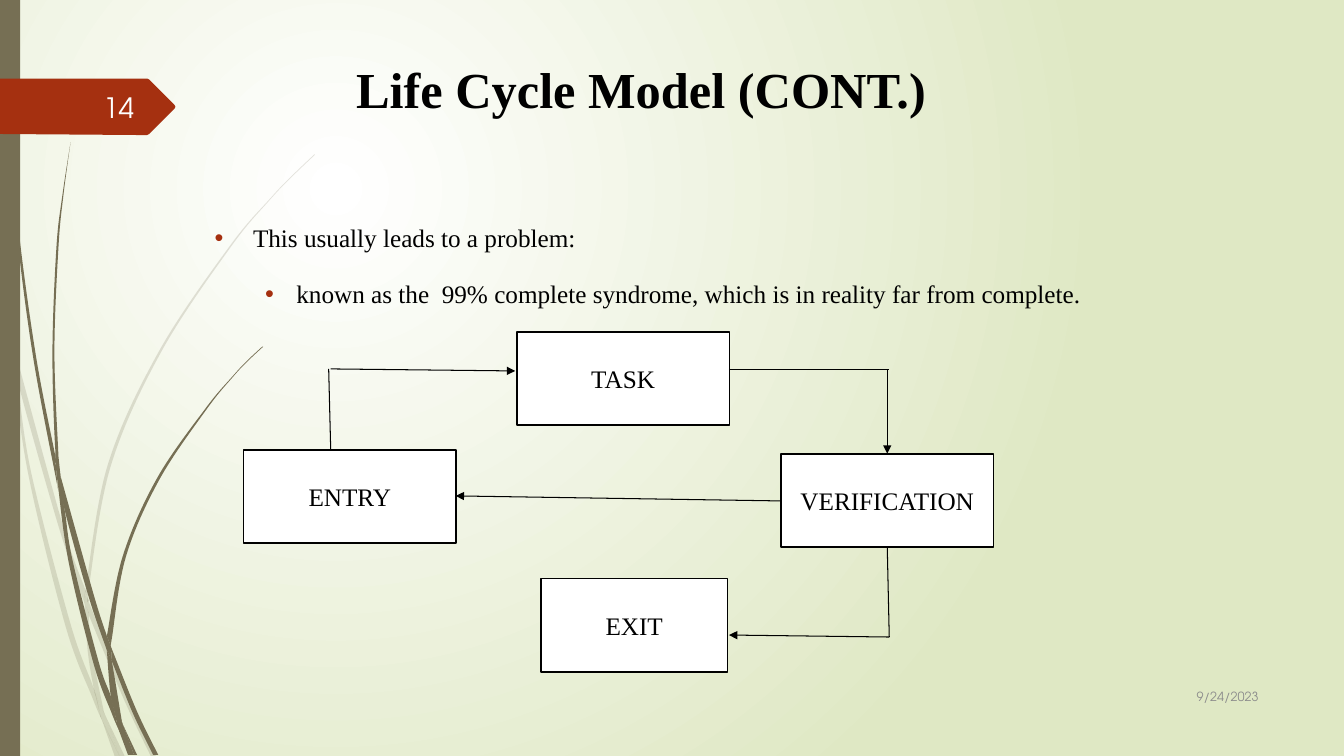
"""Build a life cycle slide on a grid of 1333 columns by 750 rows."""
from dataclasses import dataclass

from lxml.etree import SubElement
from pptx import Presentation
from pptx.dml.color import RGBColor
from pptx.enum.shapes import MSO_CONNECTOR, MSO_SHAPE
from pptx.enum.text import MSO_ANCHOR, PP_ALIGN
from pptx.oxml.ns import qn
from pptx.util import Emu, Inches, Pt

COLS, ROWS = 1333, 750
CELL = Inches(0.01)
SERIF, SANS = "Times New Roman", "TeX Gyre Adventor"
HUES = {
    "ink": "000000", "paper": "FFFFFF", "mist": "DFE8C4", "stem": "766F54",
    "rust": "A53010", "pale": "FEFFFF", "gray": "8C8C8C",
}
Point = tuple[float, float]
Edge = list[Point]


@dataclass(frozen=True)
class Area:
    col: float
    row: float
    wide: float
    high: float

    def span(self) -> list[Emu]:
        return [cell(n) for n in (self.col, self.row, self.wide, self.high)]


@dataclass(frozen=True)
class Node:
    label: str
    area: Area


@dataclass(frozen=True)
class Link:
    start: Point
    end: Point
    arrow: bool = False


FAINT: list[list[Edge]] = [
    [[(11, 350), (9, 322), (0, 282)], [(0, 299), (10, 344), (11, 350)]],
    [[(14, 345), (17, 376), (58, 522), (84, 599)], [(85, 586), (62, 520), (14, 345)]],
    [[(88, 596), (92, 607), (127, 692), (155, 751)], [(150, 751), (123, 694), (88, 610)]],
    [[(105, 711), (119, 751)], [(124, 751), (105, 711)]],
    [[(11, 350), (28, 470), (65, 621), (92, 693), (101, 714)],
     [(99, 707), (93, 683), (70, 619), (31, 469), (17, 376), (11, 350)]],
    [[(84, 599), (87, 646), (93, 683), (96, 692), (105, 711)],
     [(103, 706), (91, 646), (88, 610), (88, 608), (84, 599)]],
    [[(312, 153), (289, 175), (268, 197), (228, 244), (158, 348), (107, 461), (85, 584),
      (85, 586)],
     [(88, 596), (88, 584), (110, 462), (160, 349), (229, 245), (268, 198), (290, 175),
      (312, 154)]],
    [[(101, 714), (114, 751)], [(119, 751), (101, 714)]],
    [[(84, 599), (88, 608)], [(88, 610), (88, 596)], [(85, 586), (84, 599)]],
    [[(93, 683), (99, 707), (101, 714), (119, 751)], [(105, 711), (96, 692), (93, 683)]],
]
DARK: list[list[Edge]] = [
    [[(3, 0), (4, 48), (7, 110), (17, 233), (33, 355), (56, 477), (57, 481)],
     [(55, 457), (55, 453), (36, 355), (19, 232), (8, 109), (5, 48), (4, 0)]],
    [[(60, 472), (64, 505), (88, 592), (106, 645)],
     [(106, 633), (106, 631), (93, 590), (60, 472)]],
    [[(110, 641), (113, 649), (136, 706), (157, 749)], [(152, 749), (132, 708), (111, 656)]],
    [[(57, 477), (68, 557), (93, 659), (111, 708), (117, 722)],
     [(116, 717), (110, 691), (98, 657), (72, 556), (64, 505), (57, 477)]],
    [[(70, 141), (62, 193), (56, 245), (52, 349), (55, 449), (60, 472)],
     [(58, 453), (54, 349), (58, 245), (63, 193), (70, 141)]],
    [[(122, 719), (133, 749)], [(136, 749), (122, 719)]],
    [[(55, 449), (55, 453), (57, 477), (64, 505)], [(60, 472), (55, 449)]],
    [[(260, 344), (245, 358), (231, 373), (204, 405), (156, 474), (122, 551), (106, 631)],
     [(110, 641), (111, 633), (125, 552), (158, 476), (205, 406), (231, 374), (245, 359),
      (261, 344)]],
    [[(117, 722), (127, 749)], [(131, 749), (117, 722)]],
    [[(106, 645), (110, 691), (116, 706), (122, 719)],
     [(121, 716), (111, 656), (109, 651), (106, 645)]],
    [[(106, 631), (106, 645)], [(109, 651), (111, 656)], [(110, 641), (106, 631)]],
    [[(110, 691), (116, 717), (117, 722), (130, 749)], [(133, 749), (122, 719), (110, 691)]],
]
TAG: list[Edge] = [
    [(173, 108), (148, 133)], [(146, 134), (136, 134)], [(0, 133), (0, 78)],
    [(136, 78), (146, 78)], [(148, 79), (173, 104)], [(174, 106), (173, 108)],
]
NODES = [
    Node("ENTRY", Area(241.5, 446.5, 211, 92)),
    Node("TASK", Area(512.5, 329.5, 211, 92)),
    Node("VERIFICATION", Area(774.5, 450.5, 211, 92)),
    Node("EXIT", Area(536.5, 574, 185, 92.5)),
]
LINKS = [
    Link((328, 446), (326, 366)),
    Link((328, 366), (511, 368), True),
    Link((723, 366.5), (882, 366.5)),
    Link((880, 367.5), (880, 450), True),
    Link((775, 497), (452, 492), True),
    Link((880, 543), (882, 632)),
    Link((882, 632), (723, 630), True),
]


def cell(count: float) -> Emu:
    return Emu(round(count * CELL))


def hue(name: str) -> RGBColor:
    return RGBColor.from_string(HUES[name])


def bend(edge: Edge) -> list[Edge]:
    ends = [edge[0], *edge, edge[-1]]
    return [[(b[0] + (c[0] - a[0]) / 6, b[1] + (c[1] - a[1]) / 6),
             (c[0] - (d[0] - b[0]) / 6, c[1] - (d[1] - b[1]) / 6), c]
            for a, b, c, d in zip(ends, ends[1:], ends[2:], ends[3:])]


def paint(shape, fill: str, line: str | None = None, width: float = 1.25) -> None:
    shape.shadow.inherit = False
    shape.fill.solid()
    shape.fill.fore_color.rgb = hue(fill)
    if line:
        shape.line.color.rgb = hue(line)
        shape.line.width = Pt(width)
    else:
        shape.line.fill.background()


def trace(slide, edges: list[Edge], fill: str, alpha: int = 100) -> None:
    dots = [(cell(x), cell(y)) for edge in edges for x, y in edge]
    pen = slide.shapes.build_freeform(*dots[0], scale=1.0)
    pen.add_line_segments(dots[1:], close=True)
    shape = pen.convert_to_shape()
    paint(shape, fill)
    legs = iter(list(shape.element.iter(qn("a:lnTo"))))
    for rank, edge in enumerate(edges):
        if rank:
            next(legs)
        for bow in bend(edge):
            leg = next(legs)
            if len(edge) > 2:
                arc = SubElement(leg.getparent(), qn("a:cubicBezTo"))
                for x, y in bow:
                    SubElement(arc, qn("a:pt"), x=str(cell(x) - shape.left),
                               y=str(cell(y) - shape.top))
                leg.getparent().replace(leg, arc)
    if alpha < 100:
        tint = shape.element.spPr.find(qn("a:solidFill"))[0]
        SubElement(tint, qn("a:alpha"), val=str(alpha * 1000))


def write(frame, text: str, *, size: float = 18, font: str = SERIF, color: str = "ink",
          bold: bool = False, align=PP_ALIGN.CENTER, anchor=MSO_ANCHOR.MIDDLE,
          inset: float = 10, before: float = 0, lead: float = 1.0, level: int = 0,
          margin: float = 0, hang: float = 0) -> None:
    frame.word_wrap = True
    frame.vertical_anchor = anchor
    frame.margin_left = frame.margin_right = cell(inset)
    para = frame.add_paragraph() if frame.text else frame.paragraphs[0]
    para.alignment, para.level = align, level
    para.space_before, para.line_spacing = Pt(before), lead
    run = para.add_run()
    run.text = text
    run.font.size, run.font.name, run.font.bold = Pt(size), font, bold
    run.font.color.rgb = hue(color)
    if hang:
        props = para._p.get_or_add_pPr()
        props.set("marL", str(cell(margin)))
        props.set("indent", str(-cell(hang)))
        SubElement(SubElement(props, qn("a:buClr")), qn("a:srgbClr"), val=HUES["rust"])
        SubElement(props, qn("a:buFont"), typeface="Arial")
        SubElement(props, qn("a:buChar"), char="•")


def frame(slide, area: Area):
    return slide.shapes.add_textbox(*area.span()).text_frame


def join(slide, link: Link) -> None:
    ends = [cell(n) for n in (*link.start, *link.end)]
    line = slide.shapes.add_connector(MSO_CONNECTOR.STRAIGHT, *ends)
    line.line.color.rgb = hue("ink")
    line.line.width = Pt(0.75)
    if link.arrow:
        SubElement(line.get_or_add_ln(), qn("a:tailEnd"), type="triangle")
    SubElement(line.element.spPr, qn("a:effectLst"))


def wash(slide) -> None:
    fill = slide.background.fill
    fill.gradient()
    for stop, name, place in zip(fill.gradient_stops, ("paper", "mist"), (0, 1)):
        stop.color.rgb, stop.position = hue(name), place
    grad = slide.element.find(".//" + qn("a:gradFill"))
    grad.remove(grad.find(qn("a:lin")))
    glow = SubElement(grad, qn("a:path"), path="circle")
    SubElement(glow, qn("a:fillToRect"), l="50000", t="50000", r="100000", b="100000")


def main() -> None:
    deck = Presentation()
    deck.slide_width, deck.slide_height = cell(COLS), cell(ROWS)
    slide = deck.slides.add_slide(deck.slide_layouts[6])
    wash(slide)
    for blades, alpha in ((FAINT, 20), (DARK, 100)):
        for blade in blades:
            trace(slide, blade, "stem", alpha)
    bar = slide.shapes.add_shape(MSO_SHAPE.RECTANGLE, *Area(0, 0, 20, ROWS).span())
    paint(bar, "stem")
    trace(slide, TAG, "rust")
    right = dict(font=SANS, align=PP_ALIGN.RIGHT)
    write(frame(slide, Area(58, 86, 85, 40)), "14", size=20, color="pale", **right)
    write(frame(slide, Area(211, 25, 850, 125)), "Life Cycle Model (CONT.)", size=36,
          bold=True, inset=2, before=10)
    body = frame(slide, Area(211, 200.5, 880, 495))
    form = dict(align=PP_ALIGN.JUSTIFY, anchor=MSO_ANCHOR.TOP, inset=2, lead=1.5)
    write(body, "This usually leads to a problem:", before=8.9, margin=38, hang=38, **form)
    write(body, "known as the  99% complete syndrome, which is in reality far from complete.",
          before=8, level=1, margin=81, hang=31, **form)
    for node in NODES:
        box = slide.shapes.add_shape(MSO_SHAPE.RECTANGLE, *node.area.span())
        paint(box, "paper", "ink")
        write(box.text_frame, node.label)
    for link in LINKS:
        join(slide, link)
    write(frame(slide, Area(1133, 670, 125, 41)), "9/24/2023", size=9, color="gray", **right)
    deck.save("out.pptx")


if __name__ == "__main__":
    main()
